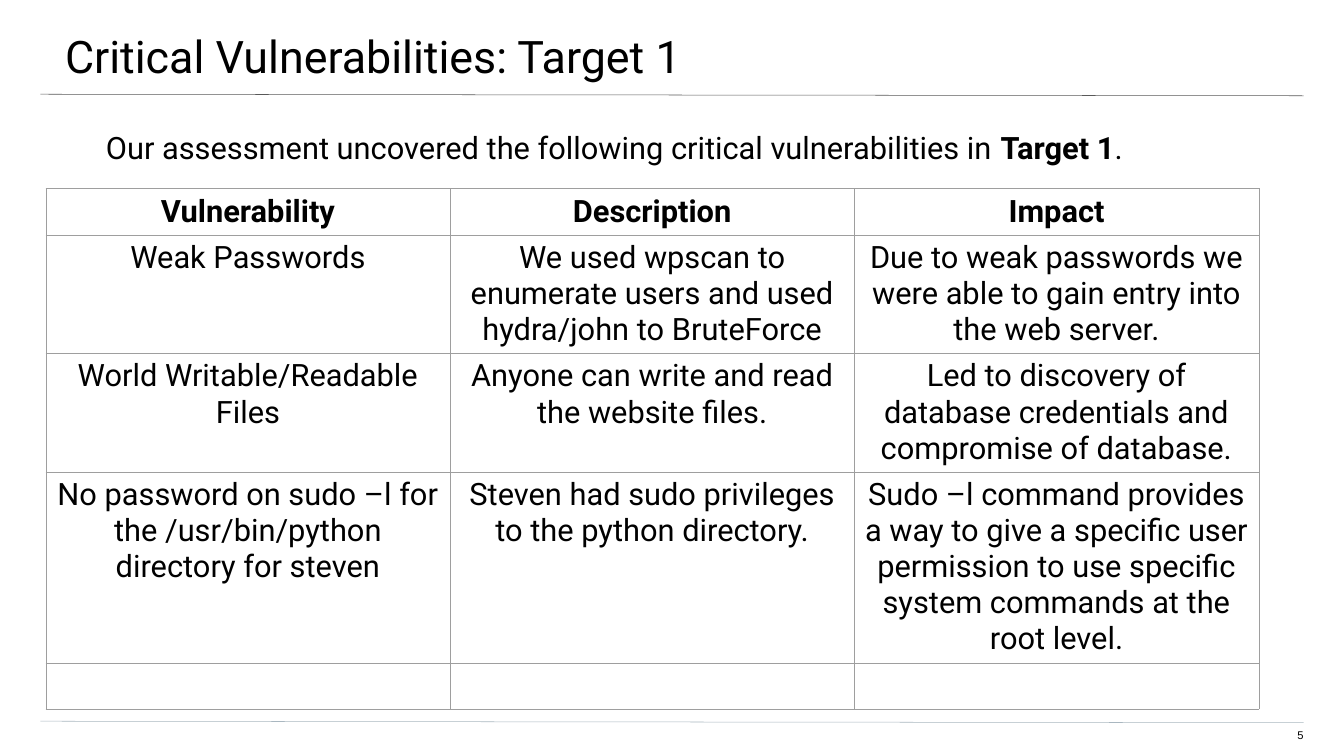
from lxml import etree
from pptx import Presentation
from pptx.dml.color import RGBColor
from pptx.enum import shapes, text
from pptx.oxml import ns
from pptx.util import Inches, Pt

ROWS = [
    ("Vulnerability", "Description", "Impact"),
    ("Weak Passwords",
     "We used wpscan to enumerate users and used hydra/john to BruteForce",
     "Due to weak passwords we were able to gain entry into the web server."),
    ("World Writable/Readable Files",
     "Anyone can write and read the website files.",
     "Led to discovery of database credentials and compromise of database."),
    ("No password on sudo –l for the /usr/bin/python directory for steven",
     "Steven had sudo privileges to the python directory.",
     "Sudo –l command provides a way to give a specific user permission "
     "to use specific system commands at the root level."),
    ("", "", ""),
]
ROW_HEIGHTS = [0.92, 2.35, 2.35, 3.79, 0.92]
COLUMN_WIDTH = 8.02


def rgb(value):
    return RGBColor.from_string(value)


def set_all(target, values):
    for name, value in values.items():
        setattr(target, name, value)


def place(box, left, top, width, height):
    set_all(box, dict(left=Inches(left), top=Inches(top),
                      width=Inches(width), height=Inches(height)))


def set_frame(frame, left, top, right, bottom):
    set_all(frame, dict(
        margin_left=Inches(left), margin_top=Inches(top),
        margin_right=Inches(right), margin_bottom=Inches(bottom),
        word_wrap=True, auto_size=text.MSO_AUTO_SIZE.NONE,
        vertical_anchor=text.MSO_ANCHOR.TOP))


def write(paragraph, runs, size, align, face="Roboto"):
    set_all(paragraph, dict(alignment=align, space_before=Pt(0)))
    for words, bold in runs:
        run = paragraph.add_run()
        run.text = words
        set_all(run.font, dict(size=Pt(size), name=face, bold=bold))
        run.font.color.rgb = rgb("000000")


def add_rule(slide, top, color):
    rule = slide.shapes.add_connector(
        shapes.MSO_CONNECTOR.STRAIGHT, Inches(0.8), Inches(top),
        Inches(25.86), Inches(top + 0.03))
    rule.line.width = Pt(0.75)
    rule.line.color.rgb = rgb(color)
    etree.SubElement(rule._element.spPr, ns.qn("a:effectLst"))


def add_title(slide, words):
    title = slide.shapes.title
    place(title, -0.04, 0, 26.73, 1.56)
    set_frame(title.text_frame, 1.33, 0.56, 0.8, 0.27)
    write(title.text_frame.paragraphs[0], [(words, False)], 64, text.PP_ALIGN.LEFT)


def add_intro(slide, runs):
    intro = slide.placeholders[1]
    place(intro, 0.77, 2.51, 25.09, 10.79)
    set_frame(intro.text_frame, 1.33, 0.05, 1.33, 2.67)
    paragraph = intro.text_frame.paragraphs[0]
    properties = paragraph._p.get_or_add_pPr()
    properties.set("marL", "0")
    properties.set("indent", "0")
    etree.SubElement(properties, ns.qn("a:buNone"))
    write(paragraph, runs, 44, text.PP_ALIGN.LEFT)


def add_page_number(slide, number):
    page = slide.shapes.add_textbox(
        Inches(25.1), Inches(14.46), Inches(0.76), Inches(0.31))
    set_frame(page.text_frame, 0, 0, 0, 0.27)
    write(page.text_frame.paragraphs[0], [(number, False)], 16,
          text.PP_ALIGN.RIGHT, "Arial")


def add_borders(cell, color):
    properties = cell._tc.get_or_add_tcPr()
    for index, side in enumerate(("lnL", "lnR", "lnT", "lnB")):
        border = etree.Element(ns.qn(f"a:{side}"), w=str(Pt(0.75)))
        fill = etree.SubElement(border, ns.qn("a:solidFill"))
        etree.SubElement(fill, ns.qn("a:srgbClr"), val=color)
        properties.insert(index, border)


def add_findings(slide):
    columns = len(ROWS[0])
    table = slide.shapes.add_table(
        len(ROWS), columns, Inches(0.91), Inches(3.74),
        Inches(COLUMN_WIDTH * columns), Inches(sum(ROW_HEIGHTS))).table
    set_all(table, dict(first_row=False, horz_banding=False))
    for column in table.columns:
        column.width = Inches(COLUMN_WIDTH)
    for index, (row, entries) in enumerate(zip(table.rows, ROWS)):
        row.height = Inches(ROW_HEIGHTS[index])
        for cell, words in zip(row.cells, entries):
            set_all(cell, dict.fromkeys(
                ("margin_left", "margin_top", "margin_right", "margin_bottom"),
                Inches(0.1)))
            cell.fill.background()
            add_borders(cell, "9E9E9E")
            if words:
                write(cell.text_frame.paragraphs[0], [(words, index == 0)],
                      44, text.PP_ALIGN.CENTER)


def main():
    deck = Presentation()
    set_all(deck, dict(slide_width=Inches(26.66), slide_height=Inches(15)))
    slide = deck.slides.add_slide(deck.slide_layouts[1])
    add_rule(slide, 1.87, "595959")
    add_rule(slide, 14.31, "A9B7C0")
    add_title(slide, "Critical Vulnerabilities: Target 1")
    add_page_number(slide, "5")
    add_intro(slide, [
        ("Our assessment uncovered the following critical vulnerabilities in ", False),
        ("Target 1", True),
        (".", False),
    ])
    add_findings(slide)
    deck.save("out.pptx")


if __name__ == "__main__":
    main()
